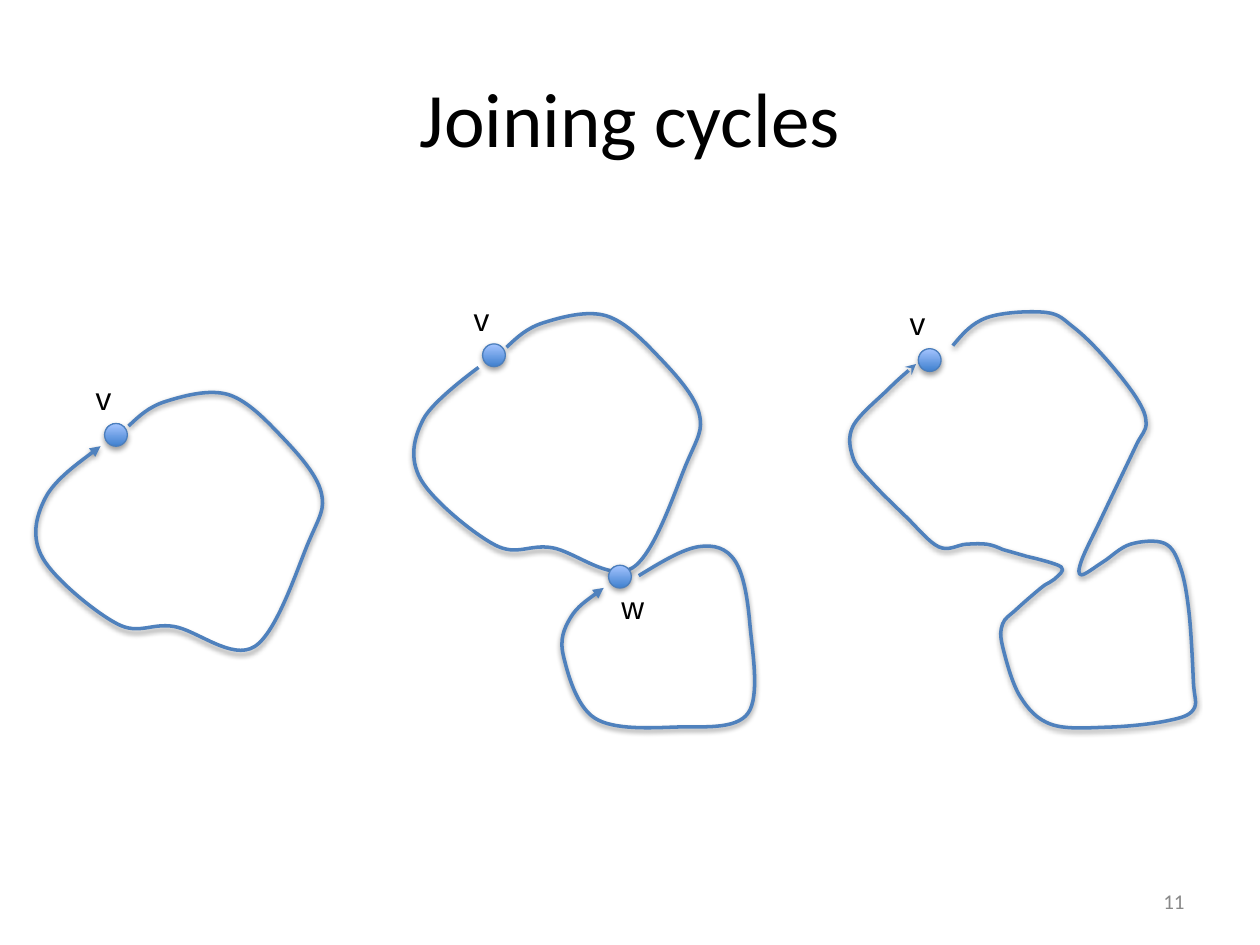
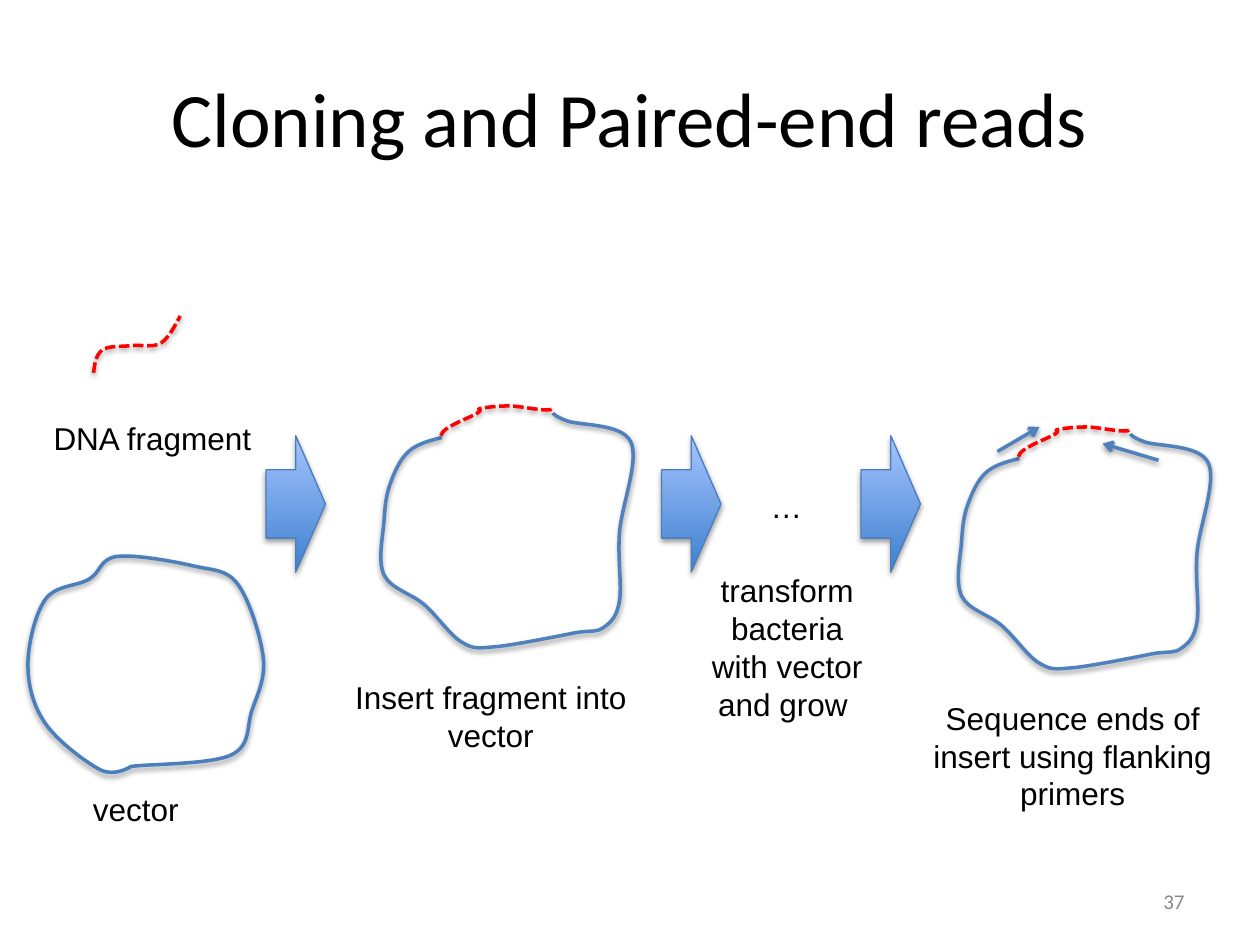
from lxml import etree
from pptx import Presentation
from pptx.dml.color import RGBColor
from pptx.enum.dml import MSO_LINE
from pptx.enum.shapes import MSO_CONNECTOR, MSO_SHAPE
from pptx.enum.text import MSO_ANCHOR, MSO_AUTO_SIZE, PP_ALIGN
from pptx.oxml.ns import qn
from pptx.util import Pt

BLACK = RGBColor(0x00, 0x00, 0x00)
GRAY = RGBColor(0x89, 0x89, 0x89)
RED = RGBColor(0xFF, 0x00, 0x00)
BLUE = RGBColor(0x4F, 0x81, 0xBD)
EDGE_BLUE = RGBColor(0x4B, 0x7E, 0xBC)
DARK_BLUE = RGBColor(0x3F, 0x80, 0xCE)
LIGHT_BLUE = RGBColor(0xA4, 0xC4, 0xFF)

LEFT, CENTER, RIGHT = PP_ALIGN.LEFT, PP_ALIGN.CENTER, PP_ALIGN.RIGHT
TOP, MIDDLE = MSO_ANCHOR.TOP, MSO_ANCHOR.MIDDLE
NO_FIT, GROW = MSO_AUTO_SIZE.NONE, MSO_AUTO_SIZE.SHAPE_TO_FIT_TEXT
ELLIPSE, RIGHT_ARROW = MSO_SHAPE.OVAL, MSO_SHAPE.RIGHT_ARROW
STRAIGHT = MSO_CONNECTOR.STRAIGHT
DASH = MSO_LINE.SQUARE_DOT

START_CONTROLS = {(252, 249): (252.5, 244), (329, 361.5): (339, 360),
                  (75, 438): (87, 436.5)}
END_CONTROLS = {(316, 233.5): (314, 236), (103, 180.5): (101.5, 183.5)}


def style_line(shape, color, width=2, head=None):
    shape.line.color.rgb = color
    shape.line.width = Pt(width)
    properties = shape._element.spPr
    if head:
        etree.SubElement(properties.find(qn("a:ln")), qn("a:tailEnd"), type=head)
    for old_effects in properties.findall(qn("a:effectLst")):
        properties.remove(old_effects)
    effects = etree.SubElement(properties, qn("a:effectLst"))
    shadow = etree.SubElement(effects, qn("a:outerShdw"), blurRad="40000",
                              dist="20000", dir="5400000", rotWithShape="0")
    shadow_color = etree.SubElement(shadow, qn("a:srgbClr"), val="000000")
    etree.SubElement(shadow_color, qn("a:alpha"), val="38000")


def add_curve(slide, pieces, color, head=None, shift=(0, 0), close=False):
    outline = [pieces[0][0]]
    for anchors in pieces:
        before, after = [], []
        for previous, anchor, following in zip(anchors, anchors[1:], anchors[2:]):
            tangent = [(following[k] - previous[k]) / 6 for k in (0, 1)]
            before.append([anchor[k] - tangent[k] for k in (0, 1)])
            after.append([anchor[k] + tangent[k] for k in (0, 1)])
        start, end = anchors[0], anchors[-1]
        before.append(END_CONTROLS.get(end, end))
        halfway = [(start[k] + before[0][k]) / 2 for k in (0, 1)]
        after.insert(0, START_CONTROLS.get(start, halfway))
        for segment in zip(after, before, anchors[1:]):
            outline.extend(segment)
    points = [(Pt(x + shift[0]), Pt(y + shift[1])) for x, y in outline]
    builder = slide.shapes.build_freeform(*points[0])
    builder.add_line_segments(points[1:], close=close)
    shape = builder.convert_to_shape()
    segments = list(shape._element.iter(qn("a:lnTo")))
    for i in range(0, len(segments), 3):
        bezier = etree.Element(qn("a:cubicBezTo"))
        segments[i].addprevious(bezier)
        for segment in segments[i:i + 3]:
            bezier.append(segment[0])
            segment.getparent().remove(segment)
    shape.fill.background()
    style_line(shape, color, head=head)
    return shape


presentation = Presentation()
presentation.slide_width = Pt(720)
presentation.slide_height = Pt(540)
blank_layout = presentation.slide_layouts[6]
cycles_slide = presentation.slides.add_slide(blank_layout)
cloning_slide = presentation.slides.add_slide(blank_layout)

large_cycle = [
    (73.5, 243.5), (94.5, 229.5), (130.5, 225.5), (161.5, 250), (183.5, 281),
    (176.5, 309.5), (145.5, 369.5), (99.5, 358), (67, 356.5), (24.5, 319),
    (26, 284.5), (57.5, 255),
]
small_cycle = [
    (365, 329), (399, 312.5), (420, 320.5), (428.5, 356.5), (427.5, 407.5),
    (386.5, 415.5), (340, 410.5), (322, 375), (326, 353), (345, 336),
]
joined_cycle = [
    [(544.5, 197.5), (564, 181.5), (597.5, 178.5), (613.5, 187), (631.5, 204.5),
     (649.5, 227.5), (655, 242), (649.5, 254), (638.5, 277)],
    [(638.5, 277), (628.5, 298), (618, 320.5), (618, 328.5), (630.5, 321),
     (646, 311), (665.5, 310.5), (674.5, 324), (679.5, 350), (682, 389.5),
     (682, 405.5), (666.5, 412), (633.5, 415.5), (601, 414), (583, 398),
     (573, 369.5), (573, 356.5), (580.5, 348.5), (595.5, 335.5), (602.5, 331),
     (606.5, 324), (587, 318)],
    [(587, 318), (573, 314)],
    [(573, 314), (564, 311), (552, 311), (536.5, 312.5), (517.5, 295),
     (497.5, 275), (487.5, 261.5), (487.5, 243.5), (507.5, 222.5), (523.5, 208)],
]
add_curve(cycles_slide, [large_cycle], BLUE, "triangle")
add_curve(cycles_slide, [large_cycle], BLUE, shift=(216, -45))
add_curve(cycles_slide, [small_cycle], BLUE, "triangle")
add_curve(cycles_slide, joined_cycle, BLUE, "stealth")

closed_vector = [
    (75, 438), (132, 431.5), (144, 406), (150.5, 376), (136, 334), (111, 323.5),
    (67, 318), (51, 331), (26, 342.5), (16, 380), (26, 413.5), (57.5, 440),
    (75, 438),
]
fragment = [(53.5, 213), (58.5, 200), (75, 197.5), (92, 196), (103, 180.5)]
opened_vector = [
    [(252.5, 250), (233.5, 258), (223, 276.5), (219.5, 297.5), (219.5, 328.5),
     (242.5, 345.5), (264, 367), (283.5, 369.5), (329, 361.5)],
    [(329, 361.5), (345, 358.5), (354, 343.5), (354, 304.5), (360.5, 252.5),
     (324, 240.5), (316, 236)],
]
inserted_fragment = [
    (252, 249), (273, 236), (274.5, 233.5), (291, 232), (316, 233.5),
]
add_curve(cloning_slide, [closed_vector], EDGE_BLUE, close=True)
add_curve(cloning_slide, [fragment], RED).line.dash_style = DASH
for shift in ((0, 0), (330, 12)):
    add_curve(cloning_slide, opened_vector, BLUE, shift=shift)
    insert = add_curve(cloning_slide, [inserted_fragment], RED, shift=shift)
    insert.line.dash_style = DASH

nodes = [(59.75, 242), (275.75, 196.5), (347.75, 323), (524.75, 199.25)]
step_arrows = [(152, 249), (378, 249), (492, 249)]
for slide, kind, places, width, height in (
    (cycles_slide, ELLIPSE, nodes, 13, 13),
    (cloning_slide, RIGHT_ARROW, step_arrows, 34, 78),
):
    for left, top in places:
        shape = slide.shapes.add_shape(kind, Pt(left), Pt(top), Pt(width), Pt(height))
        shape.fill.gradient()
        shape.fill.gradient_angle = 90
        for stop, color in zip(shape.fill.gradient_stops, (DARK_BLUE, LIGHT_BLUE)):
            stop.color.rgb = color
        style_line(shape, EDGE_BLUE, 0.75)

for primer in ((570, 258, 594, 244), (662, 263, 630, 253.5)):
    connector = cloning_slide.shapes.add_connector(STRAIGHT, *map(Pt, primer))
    style_line(connector, BLUE, head="arrow")

title_style = (44, "Calibri", BLACK, CENTER, MIDDLE, True, NO_FIT)
number_style = (12, "Calibri", GRAY, RIGHT, MIDDLE, True, NO_FIT)
label_style = (18, "Arial", BLACK, LEFT, TOP, False, GROW)
centered_style = (18, "Arial", BLACK, CENTER, TOP, False, GROW)
wrapped_style = (18, "Arial", BLACK, CENTER, TOP, True, GROW)
title_box = (36, 21.6, 648, 90)
number_box = (516, 500.5, 168, 29)

texts = [
    (cycles_slide, "Joining cycles", title_box, title_style),
    (cycles_slide, "11", number_box, number_style),
    (cycles_slide, "v", (47.5, 213, 26, 29), label_style),
    (cycles_slide, "v", (263.5, 168, 26, 29), label_style),
    (cycles_slide, "v", (512.75, 170.25, 26, 29), label_style),
    (cycles_slide, "w", (348, 332.5, 29.5, 29), label_style),
    (cloning_slide, "Cloning and Paired-end reads", title_box, title_style),
    (cloning_slide, "37", number_box, number_style),
    (cloning_slide, "DNA fragment", (23.5, 236, 129, 29), label_style),
    (cloning_slide, "vector", (46, 448, 65, 29), label_style),
    (cloning_slide, "…", (433.25, 275, 32.5, 29), label_style),
    (cloning_slide, "Insert fragment into\nvector", (194.75, 384, 171.5, 51), centered_style),
    (cloning_slide, "transform bacteria with vector and grow ",
     (395.5, 323, 108.75, 94.5), wrapped_style),
    (cloning_slide, "Sequence ends of insert using flanking primers",
     (525.75, 395.75, 174.5, 72.5), wrapped_style),
]
for slide, text, box, (size, font, color, alignment, anchor, wrap, fit) in texts:
    text_frame = slide.shapes.add_textbox(*map(Pt, box)).text_frame
    text_frame.text = text
    text_frame.word_wrap = wrap
    text_frame.auto_size = fit
    text_frame.vertical_anchor = anchor
    for paragraph in text_frame.paragraphs:
        paragraph.alignment = alignment
        paragraph.font.size = Pt(size)
        paragraph.font.name = font
        paragraph.font.color.rgb = color

presentation.save("out.pptx")
